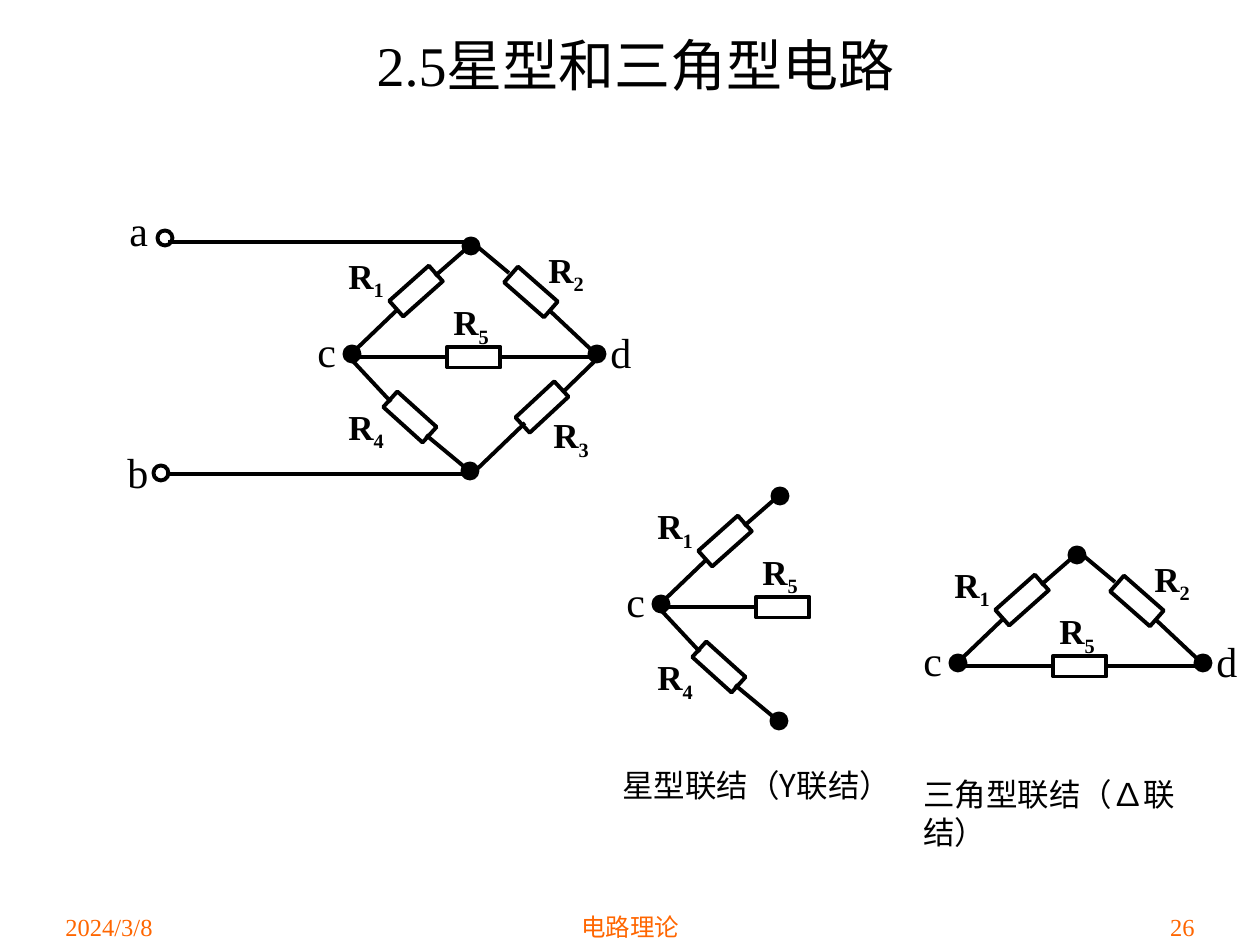
from dataclasses import dataclass, replace

from lxml.etree import SubElement
from pptx import Presentation
from pptx.dml.color import RGBColor
from pptx.enum.shapes import MSO_CONNECTOR, MSO_SHAPE
from pptx.enum.text import MSO_ANCHOR, MSO_AUTO_SIZE, PP_ALIGN
from pptx.oxml.ns import qn
from pptx.util import Emu, Pt

EMU_PER_PX = 914400 / 126
Point = tuple[int, int]
Box = tuple[int, int, int, int]


@dataclass(frozen=True)
class Theme:
    ink: RGBColor = RGBColor(0x00, 0x00, 0x00)
    footer: RGBColor = RGBColor(0xFF, 0x66, 0x00)
    serif: str = "Times New Roman"
    sans: str = "Noto Sans CJK SC"
    symbol: str = "Calibri"
    title_size: int = 32
    node_size: int = 24
    resistor_size: int = 20
    caption_size: int = 18
    footer_size: int = 14
    line_width: float = 2.25


@dataclass(frozen=True)
class Branch:
    """A resistor with its label and the wires at its ends."""
    number: str
    center: Point
    rotation: float
    label: Point
    wires: tuple[tuple[Point, Point], ...]


@dataclass(frozen=True)
class Node:
    center: Point
    name: str = ""
    label: Point = (0, 0)
    filled: bool = True


THEME = Theme()

# Parts of the bridge circuit, reused by the star and the triangle
R1 = Branch("1", (416, 291), 228.3, (336, 248),
            (((435, 276), (474, 242)), ((397, 310), (347, 358))))
R2 = Branch("2", (531, 292), 311.3, (536, 242),
            (((509, 273), (473, 243)), ((549, 310), (600, 358))))
R3 = Branch("3", (542, 407), 227.1, (541, 407),
            (((473, 473), (525, 423)), ((564, 391), (599, 357))))
R4 = Branch("4", (410, 417), 312.1, (336, 399),
            (((350, 358), (391, 402)), ((426, 435), (473, 474))))
R5 = Branch("5", (474, 357), 270, (441, 294),
            (((347, 357), (447, 357)), ((500, 357), (599, 357))))
TOP = Node((471, 246))
BOTTOM = Node((470, 471))
NODE_C = Node((352, 354), "c", (305, 319))
NODE_D = Node((597, 354), "d", (598, 320))
TERMINAL_A = Node((165, 238), "a", (117, 198), filled=False)
TERMINAL_B = Node((161, 473), "b", (115, 440), filled=False)


def px(length: int) -> Emu:
    return Emu(round(length * EMU_PER_PX))


def shift(point: Point, offset: Point) -> Point:
    return point[0] + offset[0], point[1] + offset[1]


def add_text(slide, box: Box, texts: list[str], size: int, font: str = THEME.serif,
             color: RGBColor = THEME.ink, align=PP_ALIGN.LEFT, bold: bool = False,
             wrap: bool = True, anchor=MSO_ANCHOR.TOP):
    """Add one paragraph and return its runs."""
    shape = slide.shapes.add_textbox(*map(px, box))
    frame = shape.text_frame
    frame.word_wrap = wrap
    frame.vertical_anchor = anchor
    if not wrap:
        frame.auto_size = MSO_AUTO_SIZE.SHAPE_TO_FIT_TEXT
    paragraph = frame.paragraphs[0]
    paragraph.alignment = align
    paragraph.font.size = Pt(size)
    paragraph.font.name = font
    paragraph.font.bold = bold
    paragraph.font.color.rgb = color
    for text in texts:
        paragraph.add_run().text = text
    return paragraph.runs


def add_wire(slide, start: Point, end: Point) -> None:
    wire = slide.shapes.add_connector(MSO_CONNECTOR.STRAIGHT, *map(px, start + end))
    wire.line.color.rgb = THEME.ink
    wire.line.width = Pt(THEME.line_width)
    SubElement(wire._element.spPr, qn("a:effectLst"))


def add_outline(slide, kind: MSO_SHAPE, center: Point, width: int, height: int,
                filled: bool = False):
    left, top = px(center[0]) - px(width) // 2, px(center[1]) - px(height) // 2
    shape = slide.shapes.add_shape(kind, left, top, px(width), px(height))
    shape.shadow.inherit = False
    if filled:
        shape.fill.solid()
        shape.fill.fore_color.rgb = THEME.ink
    else:
        shape.fill.background()
    shape.line.color.rgb = THEME.ink
    shape.line.width = Pt(THEME.line_width)
    return shape


def add_branch(slide, branch: Branch, offset: Point) -> None:
    resistor = add_outline(slide, MSO_SHAPE.RECTANGLE, shift(branch.center, offset), 21, 53)
    resistor.rotation = branch.rotation
    for start, end in branch.wires:
        add_wire(slide, shift(start, offset), shift(end, offset))
    box = (*shift(branch.label, offset), 62, 54)
    runs = add_text(slide, box, ["R", branch.number], THEME.resistor_size,
                    bold=True, wrap=False)
    runs[1]._r.get_or_add_rPr().set("baseline", "-25000")


def add_node(slide, node: Node, offset: Point) -> None:
    add_outline(slide, MSO_SHAPE.OVAL, shift(node.center, offset), 15, 15, node.filled)
    if node.name:
        box = (*shift(node.label, offset), 45, 63)
        add_text(slide, box, [node.name], THEME.node_size, wrap=False)


def add_circuit(slide, branches: list[Branch], nodes: list[Node],
                offset: Point = (0, 0)) -> None:
    for branch in branches:
        add_branch(slide, branch, offset)
    for node in nodes:
        add_node(slide, node, offset)


def main() -> None:
    presentation = Presentation()
    presentation.slide_width, presentation.slide_height = px(1260), px(945)
    slide = presentation.slides.add_slide(presentation.slide_layouts[6])

    # Title
    add_text(slide, (53, 33, 1166, 63), ["2.5星型和三角型电路"], THEME.title_size,
             align=PP_ALIGN.CENTER, anchor=MSO_ANCHOR.MIDDLE)

    # Bridge circuit with its supply wires
    add_wire(slide, (168, 242), (473, 242))
    add_wire(slide, (166, 474), (471, 474))
    add_circuit(slide, [R1, R2, R3, R4, R5],
                [TOP, BOTTOM, NODE_C, NODE_D, TERMINAL_A, TERMINAL_B])

    # Star and triangle taken out of the bridge
    open_r5 = replace(R5, wires=R5.wires[:1])
    add_circuit(slide, [R1, R4, open_r5], [TOP, BOTTOM, NODE_C], (309, 250))
    add_circuit(slide, [R1, R2, R5], [TOP, NODE_C, NODE_D], (606, 309))

    # Captions
    add_text(slide, (610, 760, 296, 50), ["星型联结（Y联结）"],
             THEME.caption_size, THEME.sans)
    runs = add_text(slide, (911, 769, 330, 50), ["三角型联结（", "∆联", "结）"],
                    THEME.caption_size, THEME.sans)
    runs[1].font.name = THEME.symbol

    # Footer
    for left, width, text, align in (
        (53, 262, "2024/3/8", PP_ALIGN.LEFT),
        (431, 399, "电路理论", PP_ALIGN.CENTER),
        (945, 262, "26", PP_ALIGN.RIGHT),
    ):
        add_text(slide, (left, 906, width, 63), [text], THEME.footer_size,
                 color=THEME.footer, align=align)

    presentation.save("out.pptx")


if __name__ == "__main__":
    main()
